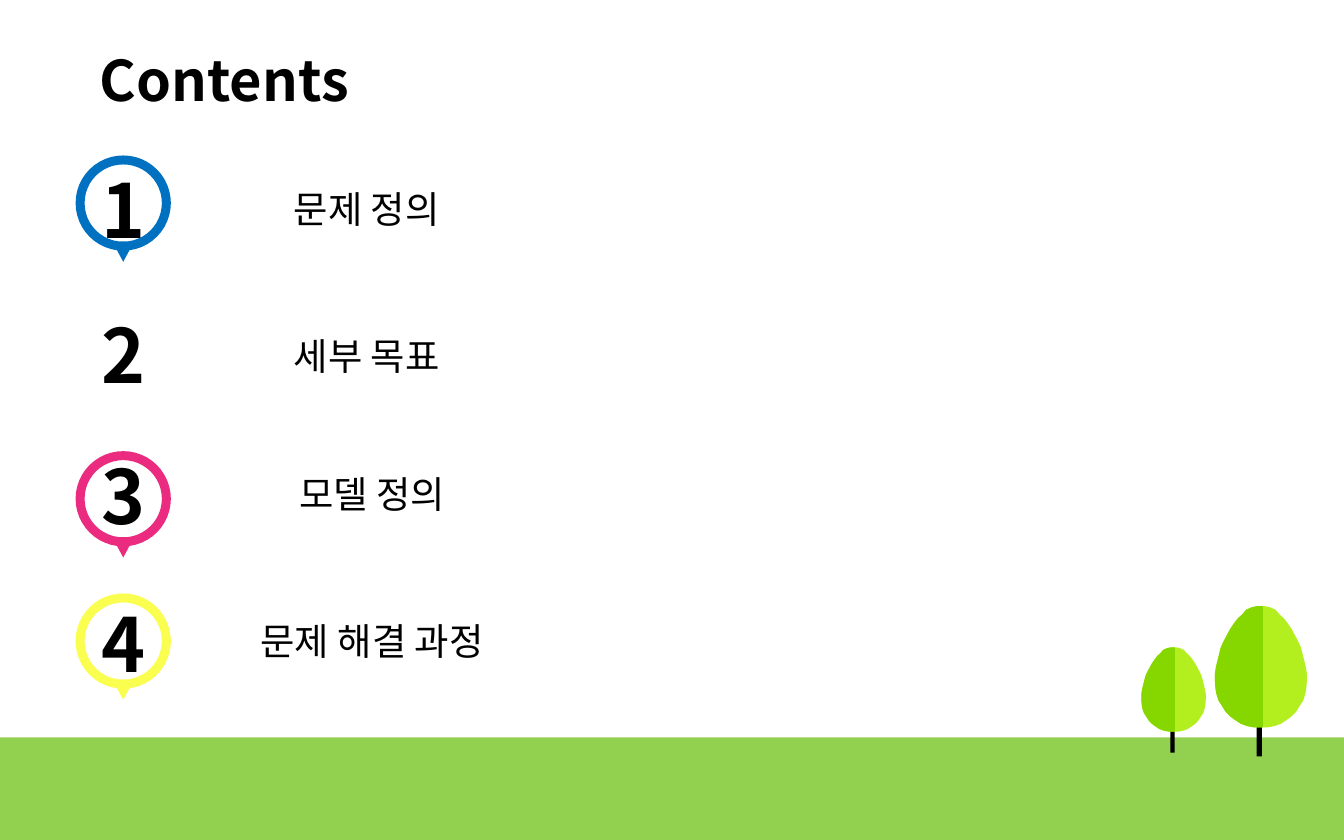
"""Build the Contents slide with numbered map pins, a lawn and two trees."""
from math import cos, radians, sin

from lxml import etree
from pptx import Presentation
from pptx import util as u
from pptx.dml.color import RGBColor
from pptx.enum import shapes, text
from pptx.oxml import ns

FONT = "Noto Sans CJK KR"
RECTANGLE = shapes.MSO_SHAPE.RECTANGLE


def paint(fill, colour):
    fill.solid()
    fill.fore_color.rgb = RGBColor.from_string(colour)


def write(box, words, left, top, width, height, size,
          bold=False, align=text.PP_ALIGN.CENTER, colour="000000"):
    box.left, box.top, box.width, box.height = map(u.Cm, (left, top, width, height))
    frame = box.text_frame
    frame.word_wrap = True
    frame.auto_size = text.MSO_AUTO_SIZE.SHAPE_TO_FIT_TEXT
    frame.vertical_anchor = text.MSO_ANCHOR.TOP
    para = frame.paragraphs[0]
    para.alignment = align
    span = para.add_run()
    span.text = words
    span.font.size = u.Pt(size)
    span.font.bold = bold
    span.font.name = FONT
    paint(span.font.fill, colour)
    etree.SubElement(span._r.get_or_add_rPr(), ns.qn("a:ea"), typeface=FONT)


deck = Presentation()
deck.slide_width, deck.slide_height = u.Cm(25.4), u.Cm(15.88)
page = deck.slides.add_slide(deck.slide_layouts[5])
paint(page.background.fill, "FFFFFF")
write(page.shapes.title, "Contents", 1.63, 0.74, 9.07, 1.55, 30,
      bold=True, align=text.PP_ALIGN.JUSTIFY)

lawn = page.shapes.add_shape(RECTANGLE, 0, u.Cm(13.94), deck.slide_width, u.Cm(1.94))
artwork = [(lawn, "92D050")]

pin_x, outer, inner, tip = 2.33, 0.9, 0.73, 1.11
for pin_y, colour in [(3.84, "0070C0"), (9.43, "EB2B7F"), (12.12, "F9FE4F")]:
    angles = [radians(7.5 * step) for step in range(1, 48)]
    rim = [(pin_x + outer * sin(a), pin_y + outer * cos(a)) for a in angles]
    hole = [(pin_x + inner * sin(a), pin_y + inner * cos(a)) for a in reversed(angles)]
    builder = page.shapes.build_freeform(u.Cm(pin_x), u.Cm(pin_y + tip))
    builder.add_line_segments([(u.Cm(x), u.Cm(y)) for x, y in rim])
    builder.move_to(u.Cm(hole[0][0]), u.Cm(hole[0][1]))
    builder.add_line_segments([(u.Cm(x), u.Cm(y)) for x, y in hole[1:]])
    artwork.append((builder.convert_to_shape(), colour))

entries = [
    ("문제 정의", 2.97, 3.71, 3.4),
    ("세부 목표", 5.72, 3.71, 6.17),
    ("모델 정의", 8.38, 3.81, 8.79),
    ("문제 해결 과정", 11.18, 3.81, 11.56),
]
for number, (topic, number_top, topic_left, topic_top) in enumerate(entries, 1):
    write(page.shapes.add_textbox(0, 0, 0, 0), str(number),
          0.89, number_top, 2.9, 1.96, 40, bold=True)
    write(page.shapes.add_textbox(0, 0, 0, 0), topic,
          topic_left, topic_top, 6.45, 1.12, 20)

profile = [
    (0, 0), (0.09, 0), (0.2, 0.01), (0.32, 0.03), (0.41, 0.07), (0.5, 0.1),
    (0.58, 0.14), (0.67, 0.19), (0.74, 0.24), (0.81, 0.29), (0.87, 0.34),
    (0.91, 0.4), (0.95, 0.46), (0.98, 0.51), (1, 0.56), (1, 0.61), (0.99, 0.67),
    (0.97, 0.72), (0.92, 0.78), (0.85, 0.82), (0.77, 0.87), (0.67, 0.91),
    (0.56, 0.94), (0.44, 0.97), (0.3, 0.99), (0.16, 1), (0, 1),
]
left_side = [(-x, y) for x, y in profile]
crown = profile + left_side[::-1]
shade = [(0.04, 0)] + left_side + [(0.04, 1)]
trees = [
    (22.18, 12.24, 0.61, 1.59, (22.12, 13.82, 0.08, 0.41)),
    (23.83, 11.46, 0.87, 2.29, (23.75, 13.72, 0.1, 0.58)),
]
for middle, top, half_width, height, trunk in trees:
    tree = page.shapes.add_group_shape()
    artwork.append((tree.shapes.add_shape(RECTANGLE, *map(u.Cm, trunk)), "000000"))
    for outline, colour in [(crown, "B3EF1E"), (shade, "86D700")]:
        points = [(u.Cm(middle + x * half_width), u.Cm(top + y * height))
                  for x, y in outline]
        builder = tree.shapes.build_freeform(*points[0])
        builder.add_line_segments(points[1:])
        artwork.append((builder.convert_to_shape(), colour))

for shape, colour in artwork:
    paint(shape.fill, colour)
    shape.line.fill.background()
    shape.shadow.inherit = False

deck.save("out.pptx")
